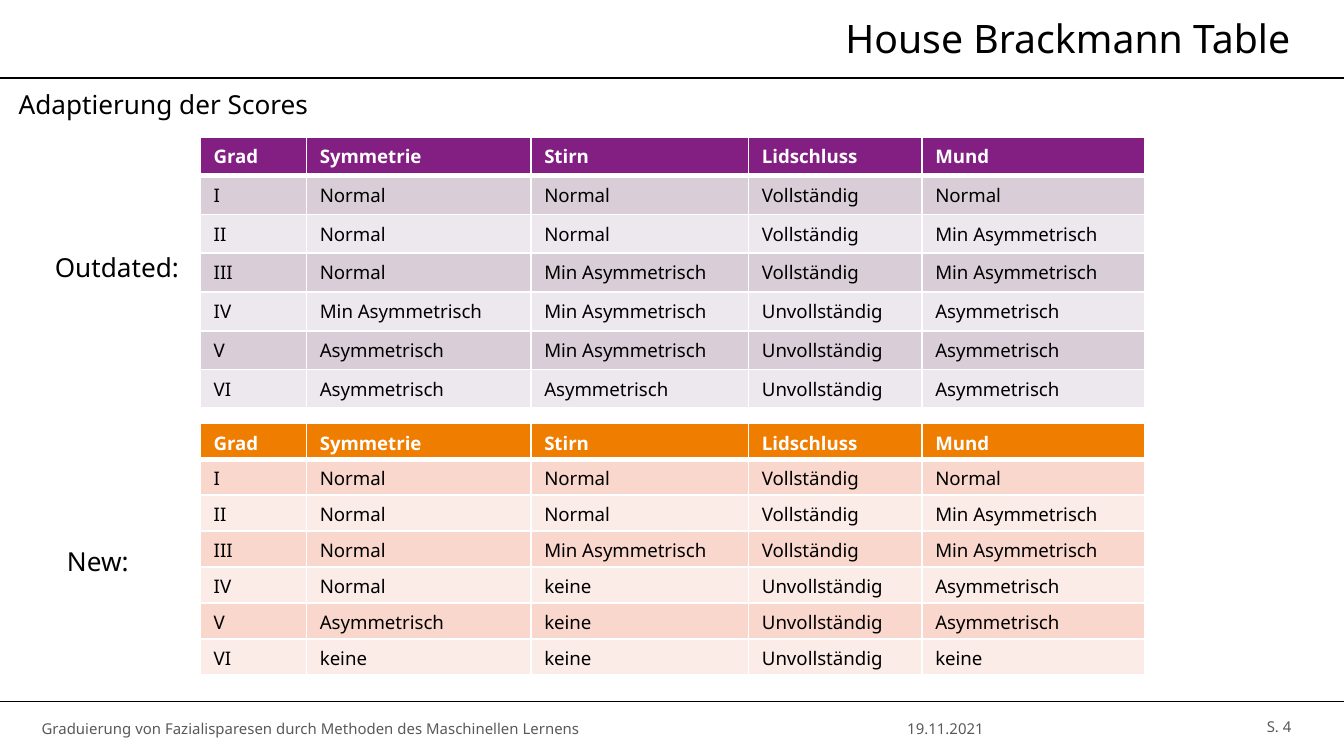
from lxml.etree import SubElement
from pptx import Presentation
from pptx.dml.color import RGBColor
from pptx.enum.shapes import MSO_CONNECTOR
from pptx.enum.text import MSO_ANCHOR, PP_ALIGN
from pptx.oxml import parse_xml
from pptx.oxml.ns import nsdecls, qn
from pptx.util import Inches, Pt

WIDTH = 10
HEIGHT = WIDTH * 9 / 16
FONT = "Noto Sans"
COLORS = {"ink": "000000", "paper": "FFFFFF", "footer": "595959"}
PURPLE = {"header": "831F82", "odd": "D9CDD8", "even": "EDE8ED"}
ORANGE = {"header": "EF7D00", "odd": "F9D7CC", "even": "FCECE7"}

# Table grid
TABLE_LEFT = 1.49
COLUMN_WIDTHS = [0.79, 1.67, 1.62, 1.29, 1.66]
HEADINGS = ["Grad", "Symmetrie", "Stirn", "Lidschluss", "Mund"]
GRADES = ["I", "II", "III", "IV", "V", "VI"]
NORMAL, SLIGHT, ASYMMETRIC, NONE = "Normal", "Min Asymmetrisch", "Asymmetrisch", "keine"
# Both versions agree on eyelid closure
LIDS = ["Vollständig"] * 3 + ["Unvollständig"] * 3
OUTDATED = {
    "symmetry": [NORMAL] * 3 + [SLIGHT] + [ASYMMETRIC] * 2,
    "forehead": [NORMAL] * 2 + [SLIGHT] * 3 + [ASYMMETRIC],
    "mouth": [NORMAL] + [SLIGHT] * 2 + [ASYMMETRIC] * 3,
}
NEW = {
    "symmetry": [NORMAL] * 4 + [ASYMMETRIC, NONE],
    "forehead": [NORMAL] * 2 + [SLIGHT] + [NONE] * 3,
    "mouth": [NORMAL] + [SLIGHT] * 2 + [ASYMMETRIC] * 2 + [NONE],
}


def place(shape, left, top, width, height):
    shape.left, shape.top = Inches(left), Inches(top)
    shape.width, shape.height = Inches(width), Inches(height)


def style_paragraph(para, size, color, align=PP_ALIGN.LEFT, bold=False):
    para.alignment = align
    para.font.name, para.font.size, para.font.bold = FONT, Pt(size), bold
    para.font.color.rgb = RGBColor.from_string(color)


def add_title(page, text):
    title = page.shapes.title
    place(title, 2.95, 0.11, 6.72, 0.35)
    frame = title.text_frame
    frame.text = text
    frame.vertical_anchor = MSO_ANCHOR.MIDDLE
    frame.margin_left, frame.margin_right = 0, Inches(0.07)
    frame.margin_top = frame.margin_bottom = Inches(0.04)
    style_paragraph(frame.paragraphs[0], 21, COLORS["ink"], PP_ALIGN.RIGHT)


def add_label(page, text, left, top, width):
    box = page.shapes.add_textbox(0, 0, 0, 0)
    place(box, left, top, width, 0.34)
    box.text_frame.word_wrap = True
    box.text_frame.text = text
    style_paragraph(box.text_frame.paragraphs[0], 14, COLORS["ink"])


def add_footer(page, text, left, top, width, align, inset=0.07):
    box = page.shapes.add_textbox(0, 0, 0, 0)
    place(box, left, top, width, 0.4)
    frame = box.text_frame
    frame.word_wrap = True
    frame.vertical_anchor = MSO_ANCHOR.MIDDLE
    frame.margin_left, frame.margin_right = Inches(inset), Inches(0.07)
    frame.margin_top = frame.margin_bottom = Inches(0.04)
    frame.text = text
    style_paragraph(frame.paragraphs[0], 8, COLORS["footer"], align)


def add_rule(page, top):
    rule = page.shapes.add_connector(
        MSO_CONNECTOR.STRAIGHT, 0, Inches(top), Inches(WIDTH), Inches(top))
    rule.line.color.rgb = RGBColor.from_string(COLORS["ink"])
    rule.line.width = Pt(1)
    SubElement(rule._element.spPr, qn("a:effectLst"))


def set_borders(cell, widths):
    properties = cell._tc.get_or_add_tcPr()
    for index, (side, width) in enumerate(widths.items()):
        properties.insert(index, parse_xml(
            f'<a:ln{side} {nsdecls("a")} w="{Pt(width)}"><a:solidFill>'
            f'<a:srgbClr val="{COLORS["paper"]}"/></a:solidFill></a:ln{side}>'))


def add_score_table(page, scores, top, height, palette):
    columns = [GRADES, scores["symmetry"], scores["forehead"], LIDS, scores["mouth"]]
    rows = [HEADINGS, *zip(*columns)]
    table = page.shapes.add_table(
        len(rows), len(HEADINGS), Inches(TABLE_LEFT), Inches(top),
        Inches(sum(COLUMN_WIDTHS)), Inches(height)).table
    table.horz_banding = False
    for column, width in zip(table.columns, COLUMN_WIDTHS):
        column.width = Inches(width)
    for r, values in enumerate(rows):
        is_header = r == 0
        fill = palette["header" if is_header else "odd" if r % 2 else "even"]
        borders = {"L": 1, "R": 1, "T": 3 if r == 1 else 1, "B": 3 if is_header else 1}
        for c, value in enumerate(values):
            cell = table.cell(r, c)
            cell.text = value
            cell.fill.solid()
            cell.fill.fore_color.rgb = RGBColor.from_string(fill)
            set_borders(cell, borders)
            style_paragraph(cell.text_frame.paragraphs[0], 10,
                            COLORS["paper" if is_header else "ink"], bold=is_header)


def main():
    deck = Presentation()
    deck.slide_width, deck.slide_height = Inches(WIDTH), Inches(HEIGHT)
    page = deck.slides.add_slide(deck.slide_layouts[5])

    # Heading and footer
    for top in (0.58, 5.22):
        add_rule(page, top)
    add_title(page, "House Brackmann Table")
    add_footer(page, "19.11.2021", 5.24, 5.22, 3.59, PP_ALIGN.CENTER)
    add_footer(page, "Graduierung von Fazialisparesen durch Methoden des Maschinellen Lernens",
               0.31, 5.22, 4.93, PP_ALIGN.LEFT, inset=0)
    add_footer(page, "S. 4", 8.81, 5.21, 0.87, PP_ALIGN.RIGHT)

    # Score tables with their labels
    add_score_table(page, OUTDATED, 1.02, 2.02, PURPLE)
    add_label(page, "Adaptierung der Scores", 0.04, 0.61, 5.2)
    add_score_table(page, NEW, 3.15, 1.87, ORANGE)
    add_label(page, "Outdated:", 0.31, 1.82, 1.5)
    add_label(page, "New:", 0.4, 4.01, 1.5)

    deck.save("out.pptx")


if __name__ == "__main__":
    main()
